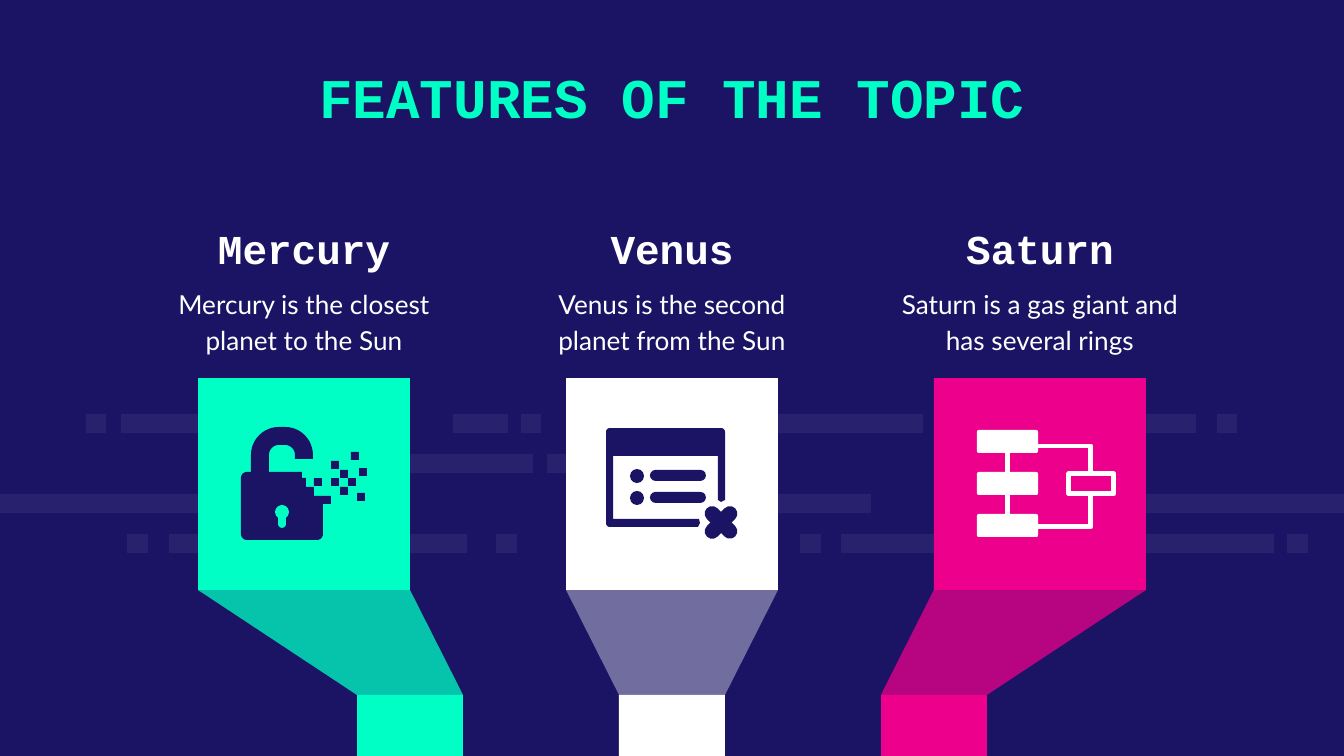
from math import cos, sin, radians
from lxml.etree import SubElement
from pptx import Presentation
from pptx.dml.color import RGBColor
from pptx.enum.shapes import MSO_CONNECTOR as Link, MSO_SHAPE as Kind
from pptx.enum.text import MSO_ANCHOR as Anchor, PP_ALIGN as Align
from pptx.oxml.ns import qn
from pptx.util import Pt

SCALE = 914400 / 134.4
NAVY, WHITE, TEAL, PINK = "1B1464", "FFFFFF", "00FFC5", "EC008C"
HEAD = {"name": "Courier New", "bold": True}
BODY = {"name": "Lato", "bold": False}


def px(n):
    return round(n * SCALE)


def hue(code):
    return RGBColor.from_string(code)


def paint(shape, code, alpha=100):
    shape.shadow.inherit = False
    shape.line.fill.background()
    shape.fill.solid()
    shape.fill.fore_color.rgb = hue(code)
    if alpha < 100:
        color = shape._element.spPr.find(qn("a:solidFill"))[0]
        SubElement(color, qn("a:alpha"), val=str(alpha * 1000))
    return shape


def stroke(shape, code, width):
    shape.line.color.rgb = hue(code)
    shape.line.width = px(width)


def block(slide, box, code, kind=Kind.RECTANGLE, alpha=100):
    shape = slide.shapes.add_shape(kind, *map(px, box))
    return paint(shape, code, alpha)


def pill(slide, box, code, turn=0):
    shape = block(slide, box, code, Kind.ROUNDED_RECTANGLE)
    shape.adjustments[0] = 0.5
    shape.rotation = turn


def outline(slide, x, y, points, close=True):
    spots = [(px(x + a), px(y + b)) for a, b in points]
    pen = slide.shapes.build_freeform(*spots[0])
    pen.add_line_segments(spots[1:], close=close)
    return pen.convert_to_shape()


def arc(cx, cy, r, start, end):
    """Points along a circle; degrees run clockwise from the right."""
    turns = [radians(start + (end - start) * i / 12) for i in range(13)]
    return [(cx + r * cos(t), cy + r * sin(t)) for t in turns]


def label(slide, box, text, size, code, style, top=13, base=13,
          anchor=Anchor.TOP, space=1.0):
    frame = slide.shapes.add_textbox(*map(px, box)).text_frame
    form = {"word_wrap": True, "vertical_anchor": anchor,
            "margin_left": px(13), "margin_right": px(13),
            "margin_top": px(top), "margin_bottom": px(base)}
    for key, value in form.items():
        setattr(frame, key, value)
    para = frame.paragraphs[0]
    para.alignment, para.line_spacing = Align.CENTER, space
    run = para.add_run()
    run.text = text
    for key, value in {**style, "size": Pt(size)}.items():
        setattr(run.font, key, value)
    run.font.color.rgb = hue(code)


def stripes(slide, x, y):
    rows = [
        [(86, 20), (121, 196), (453, 55), (521, 20), (754, 169),
         (1027, 169), (1217, 20)],
        [(402, 131), (547, 54)],
        [(0, 199), (672, 199), (1145, 199)],
        [(127, 21), (169, 298), (496, 21), (800, 21), (841, 433), (1287, 21)],
    ]
    for i, row in enumerate(rows):
        for left, wide in row:
            block(slide, (x + left, y + 40 * i, wide, 19), WHITE, alpha=6)


def lock(slide, x, y):
    body = [(53, 94), *arc(81, 77, 28, 180, 270), *arc(87, 77, 28, 270, 360),
            (115, 81), (97, 81), *arc(87, 77, 10, 360, 270),
            *arc(81, 77, 10, 270, 180), (71, 94), (104, 94), (104, 100),
            (108, 100), (108, 109), (116, 109), (116, 118), (125, 118),
            *arc(119, 156, 6, 0, 90), *arc(49, 156, 6, 90, 180),
            *arc(49, 100, 6, 180, 270)]
    paint(outline(slide, x, y, body), NAVY)
    block(slide, (x + 77, y + 127, 14, 14), TEAL, Kind.OVAL)
    pill(slide, (x + 80, y + 134, 8, 16), TEAL)
    bits = [(125, 118), (142, 92), (133, 100), (133, 83), (116, 100),
            (142, 109), (159, 115), (150, 100), (161, 90), (153, 74)]
    for a, b in bits:
        block(slide, (x + a, y + b, 8, 8), NAVY)


def window(slide, x, y):
    frame = [*arc(44, 54, 4, 180, 270), *arc(155, 54, 4, 270, 360),
             (159, 122), (155, 124), (152, 122), (152, 78), (47, 78),
             (47, 141), (133, 141), (134, 145), (132, 149),
             *arc(44, 145, 4, 90, 180)]
    paint(outline(slide, x, y, frame), NAVY)
    for top in (91, 113):
        block(slide, (x + 64, y + top, 14, 14), NAVY, Kind.OVAL)
        pill(slide, (x + 84, y + top + 1, 56, 11), NAVY)
    for turn in (45, 135):
        pill(slide, (x + 135, y + 137, 40, 15), NAVY, turn)


def chart(slide, x, y):
    """Flow chart icon: three stacked boxes tied to one on the right."""
    nodes = []
    for i in range(3):
        node = block(slide, (x + 43, y + 52 + 42 * i, 61, 23), WHITE,
                     Kind.ROUNDED_RECTANGLE)
        node.adjustments[0] = 0.08
        nodes.append(node)
    for upper, lower in zip(nodes, nodes[1:]):
        link = slide.shapes.add_connector(Link.STRAIGHT, 0, 0, 0, 0)
        link.begin_connect(upper, 2)
        link.end_connect(lower, 0)
        stroke(link, WHITE, 5)
        SubElement(link._element.spPr, qn("a:effectLst"))
    for level, end in ((68, 96), (149, 116)):
        wire = outline(slide, x, y,
                       [(104, level), (157, level), (157, end)], False)
        wire.shadow.inherit = False
        wire.fill.background()
        stroke(wire, WHITE, 5)
    side = block(slide, (x + 135, y + 96, 45, 20), PINK)
    stroke(side, WHITE, 5)


def panel(slide, x, y, name, text, code, stem, layers, icon):
    """Heading, text and square at (x, y), with a stem at offset stem."""
    label(slide, (x - 46, y - 168, 304, 63), name, 22, WHITE, HEAD,
          base=0, anchor=Anchor.BOTTOM)
    label(slide, (x - 46, y - 94, 304, 63), text, 14, WHITE, BODY,
          top=0, space=1.15)
    funnel = [(0, 212), (212, 212), (stem + 106, 317), (stem, 317)]
    for shade, alpha in layers:
        paint(outline(slide, x, y, funnel), shade, alpha)
    block(slide, (x + stem, y + 317, 106, 61), code)
    block(slide, (x, y, 212, 212), code)
    icon(slide, x, y)


def main():
    deck = Presentation()
    deck.slide_width, deck.slide_height = px(1344), px(756)
    slide = deck.slides.add_slide(deck.slide_layouts[6])
    slide.background.fill.solid()
    slide.background.fill.fore_color.rgb = hue(NAVY)
    stripes(slide, 0, 414)
    label(slide, (188, 50, 968, 98), "FEATURES OF THE TOPIC", 30, TEAL, HEAD)
    panels = [
        ("Mercury", "Mercury is the closest planet to the Sun", TEAL, 159,
         [(TEAL, 100), (NAVY, 25)], lock),
        ("Venus", "Venus is the second planet from the Sun", WHITE, 53,
         [(WHITE, 38)], window),
        ("Saturn", "Saturn is a gas giant and has several rings", PINK, -53,
         [(PINK, 100), (NAVY, 25)], chart),
    ]
    for i, parts in enumerate(panels):
        panel(slide, 198 + 368 * i, 378, *parts)
    deck.save("out.pptx")


if __name__ == "__main__":
    main()
